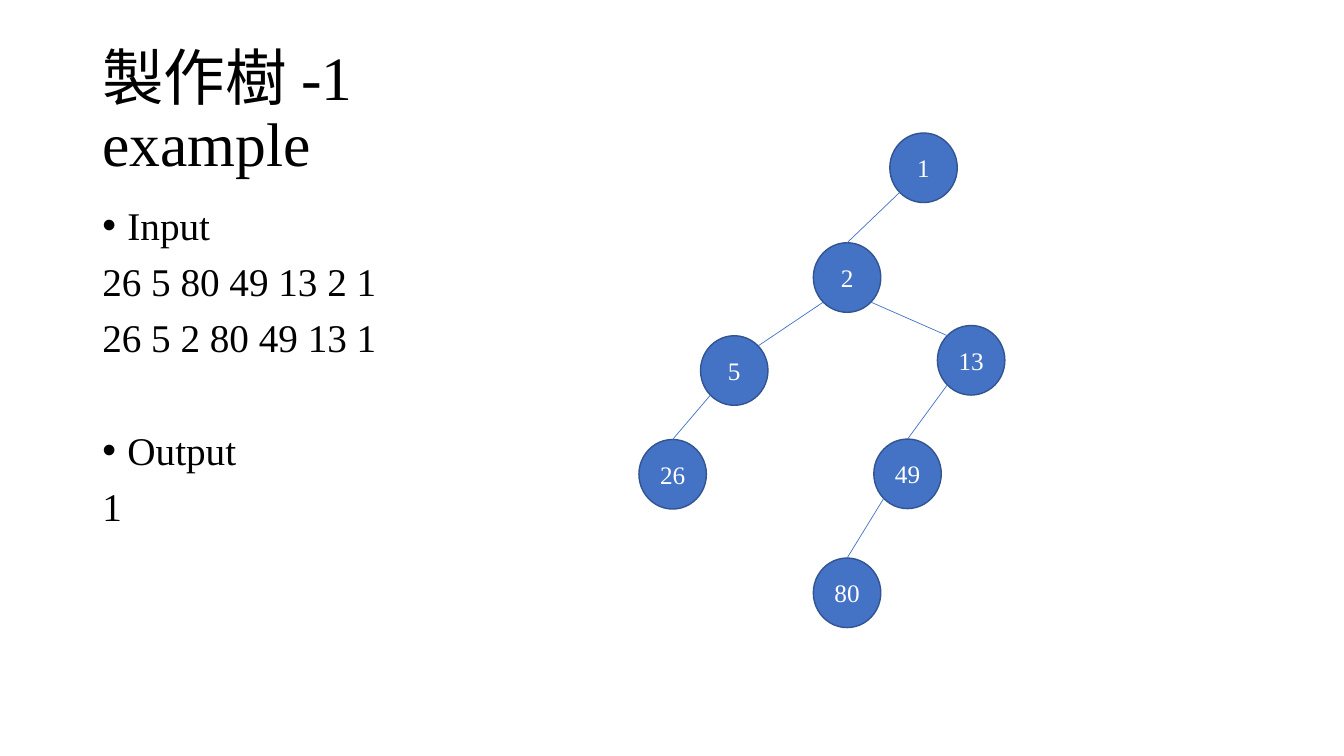
"""Build the slide that shows a tree-making example with its input and output."""
from math import sqrt

from lxml import etree
from pptx import Presentation
from pptx.dml.color import RGBColor
from pptx.enum.shapes import MSO_CONNECTOR, MSO_SHAPE
from pptx.enum.text import MSO_ANCHOR, PP_ALIGN
from pptx.oxml.ns import qn
from pptx.util import Pt

STRAIGHT = MSO_CONNECTOR.STRAIGHT
OVAL = MSO_SHAPE.OVAL
TOP, MIDDLE = MSO_ANCHOR.TOP, MSO_ANCHOR.MIDDLE
LEFT, CENTER = PP_ALIGN.LEFT, PP_ALIGN.CENTER
BLACK = RGBColor(0x00, 0x00, 0x00)
WHITE = RGBColor(0xFF, 0xFF, 0xFF)
BLUE = RGBColor(0x44, 0x72, 0xC4)
DARK_BLUE = RGBColor(0x32, 0x54, 0x91)
FONT = "Times New Roman"
NODE_WIDTH, NODE_HEIGHT = 48.2, 49.7
DIAGONAL = sqrt(0.5)


def write(paragraph, text, size, color=BLACK, align=LEFT, spacing=0.9, before=0, bullet=False):
    paragraph.text = text
    paragraph.alignment = align
    paragraph.line_spacing = spacing
    paragraph.space_before = Pt(before)
    for span in paragraph.runs:
        span.font.name = FONT
        span.font.size = Pt(size)
        span.font.color.rgb = color
    if bullet:
        properties = paragraph._p.get_or_add_pPr()
        properties.set("marL", str(Pt(18)))
        properties.set("indent", str(Pt(-18)))
        etree.SubElement(properties, qn("a:buFont")).set("typeface", "Arial")
        etree.SubElement(properties, qn("a:buChar")).set("char", "•")


def node_point(value, across, down):
    left, top = nodes[value]
    return Pt(left + NODE_WIDTH * (1 + across) / 2), Pt(top + NODE_HEIGHT * (1 + down) / 2)


deck = Presentation()
deck.slide_width, deck.slide_height = Pt(960), Pt(540)
page = deck.slides.add_slide(deck.slide_layouts[6])

title_box = page.shapes.add_textbox(Pt(66), Pt(28.75), Pt(828), Pt(104.4))
body_box = page.shapes.add_textbox(Pt(66), Pt(143.75), Pt(828), Pt(342.6))
for box, anchor in ((title_box, MIDDLE), (body_box, TOP)):
    box.text_frame.word_wrap = True
    box.text_frame.vertical_anchor = anchor
write(title_box.text_frame.paragraphs[0], "製作樹 -1\vexample", size=44)

body_lines = [
    ("Input", 10, True),
    ("26 5 80 49 13 2 1", 10, False),
    ("26 5 2 80 49 13 1", 10, False),
    ("Output", 50.2, True),
    ("1", 10, False),
]
for index, (text, before, bullet) in enumerate(body_lines):
    frame = body_box.text_frame
    para = frame.add_paragraph() if index else frame.paragraphs[0]
    write(para, text, size=28, before=before, bullet=bullet)

nodes = {
    1: (635.6, 95),
    2: (581, 173.4),
    5: (500.4, 239.8),
    13: (669.6, 232.5),
    26: (456.4, 313.9),
    49: (624.2, 313.6),
    80: (581, 398.6),
}
for value, (left, top) in nodes.items():
    node = page.shapes.add_shape(OVAL, Pt(left), Pt(top), Pt(NODE_WIDTH), Pt(NODE_HEIGHT))
    node.shadow.inherit = False
    node.fill.solid()
    node.fill.fore_color.rgb = BLUE
    node.line.color.rgb = DARK_BLUE
    node.line.width = Pt(1)
    frame = node.text_frame
    frame.vertical_anchor = MIDDLE
    write(frame.paragraphs[0], str(value), size=18, color=WHITE, align=CENTER, spacing=1.0)

lower_left, lower_right = (-DIAGONAL, DIAGONAL), (DIAGONAL, DIAGONAL)
upper_left, upper_right = (-DIAGONAL, -DIAGONAL), (DIAGONAL, -DIAGONAL)
top_center = (0, -1)
edges = [
    (1, lower_left, 2, top_center),
    (2, lower_left, 5, upper_right),
    (2, lower_right, 13, upper_left),
    (5, lower_left, 26, top_center),
    (13, lower_left, 49, top_center),
    (49, lower_left, 80, top_center),
]
for parent, parent_side, child, child_side in edges:
    start = node_point(parent, *parent_side)
    end = node_point(child, *child_side)
    edge = page.shapes.add_connector(STRAIGHT, *start, *end)
    edge.line.color.rgb = BLUE
    edge.line.width = Pt(0.5)
    etree.SubElement(edge._element.spPr, qn("a:effectLst"))

deck.save("out.pptx")
